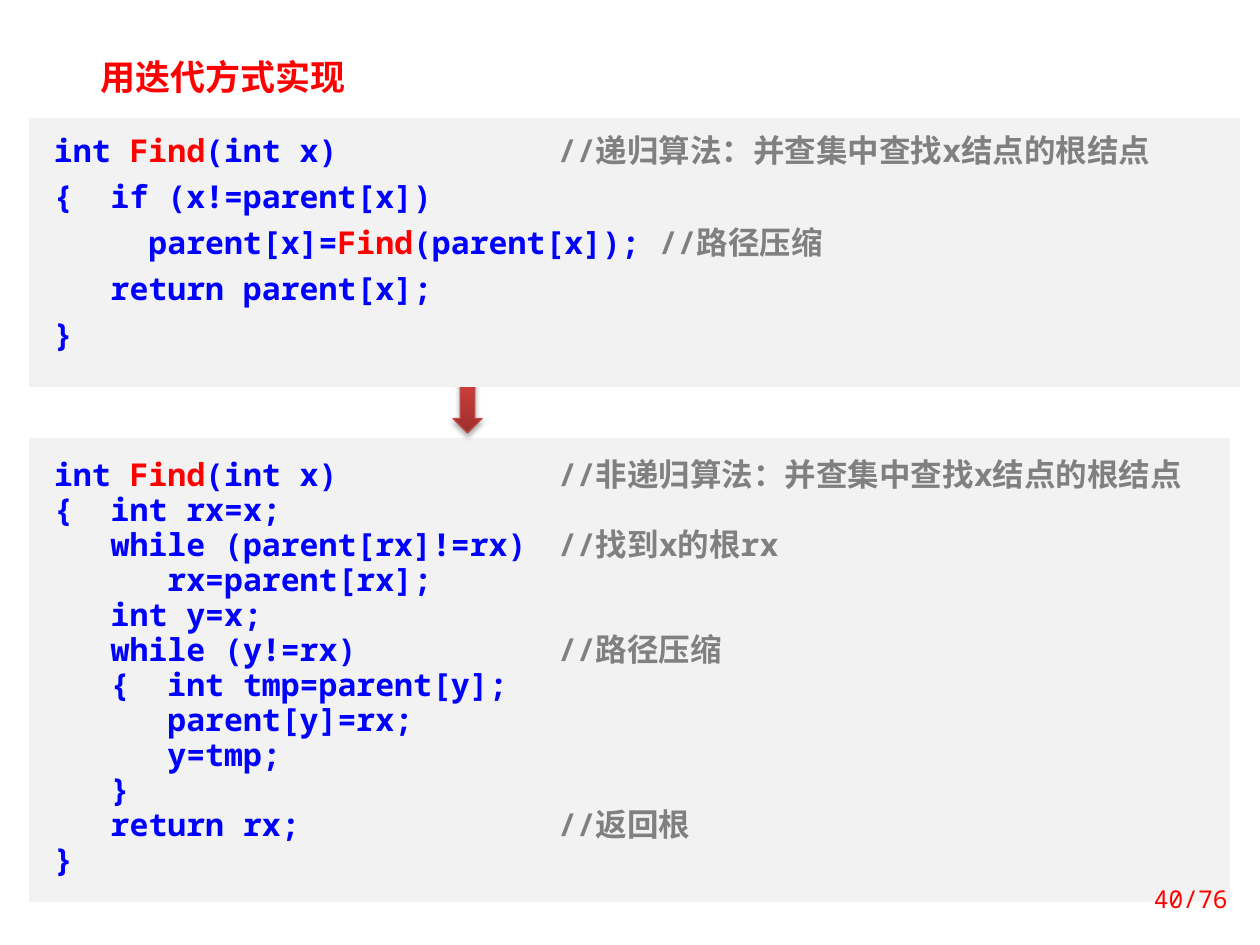
from dataclasses import dataclass

from pptx import Presentation
from pptx.dml.color import RGBColor
from pptx.enum.lang import MSO_LANGUAGE_ID
from pptx.enum.shapes import MSO_SHAPE
from pptx.enum.text import MSO_ANCHOR, PP_ALIGN
from pptx.oxml import parse_xml
from pptx.oxml.ns import nsdecls
from pptx.util import Inches, Pt

RECT, DOWN_ARROW = MSO_SHAPE.RECTANGLE, MSO_SHAPE.DOWN_ARROW
TOP, MIDDLE = MSO_ANCHOR.TOP, MSO_ANCHOR.MIDDLE
LEFT, RIGHT = PP_ALIGN.LEFT, PP_ALIGN.RIGHT
CHINESE = MSO_LANGUAGE_ID.SIMPLIFIED_CHINESE
PX = Inches(1) / 126
COMMENT_TAB = 504


@dataclass(frozen=True)
class Theme:
    font: str = "Noto Sans Mono"
    accent: str = "FF0000"
    code: str = "0000FF"
    comment: str = "808080"
    panel: str = "F2F2F2"
    arrow_line: str = "BF4C48"
    arrow_stops: tuple = ((0, "9C2F2D"), (80, "CB3E3A"), (100, "CE3B37"))
    title_size: int = 20
    code_size: int = 18
    page_size: int = 14


def emu(*lengths):
    return [round(n * PX) for n in lengths]


class Builder:
    def __init__(self, slide, theme):
        self.s, self.theme = slide, theme

    def style_run(self, r, size, color, bold):
        r.font.size, r.font.bold = Pt(size), bold
        r.font.name = self.theme.font
        r.font.language_id = CHINESE
        r.font.color.rgb = RGBColor.from_string(color)
        r.font._element.append(parse_xml(
            f'<a:ea {nsdecls("a")} typeface="{self.theme.font}"/>'))

    def label(self, box, text, size, bold=False, align=LEFT, anchor=TOP):
        tf = self.s.shapes.add_textbox(*emu(*box)).text_frame
        tf.word_wrap, tf.vertical_anchor = True, anchor
        tf.text = text
        p = tf.paragraphs[0]
        p.alignment = align
        self.style_run(p.runs[0], size, self.theme.accent, bold)

    def code_panel(self, box, lines, line_spacing, space_before=0):
        """Each line is a pair of code and comment."""
        sp = self.s.shapes.add_shape(RECT, *emu(*box))
        sp.shadow.inherit = False
        sp.fill.solid()
        sp.fill.fore_color.rgb = RGBColor.from_string(self.theme.panel)
        sp.line.fill.background()
        tf = sp.text_frame
        tf.word_wrap, tf.vertical_anchor = True, TOP
        (tf.margin_left, tf.margin_top,
         tf.margin_right, tf.margin_bottom) = emu(25, 20, 13, 20)
        for i, (code, comment) in enumerate(lines):
            p = tf.add_paragraph() if i else tf.paragraphs[0]
            p.alignment, p.line_spacing = LEFT, line_spacing
            p.space_before = Pt(space_before if i else 0)
            p._p.get_or_add_pPr().append(parse_xml(
                f'<a:tabLst {nsdecls("a")}>'
                f'<a:tab pos="{emu(COMMENT_TAB)[0]}" algn="l"/></a:tabLst>'))
            before, name, after = code.partition("Find")
            for text, color in ((before, self.theme.code),
                                (name, self.theme.accent),
                                (after, self.theme.code),
                                (comment, self.theme.comment)):
                if text:
                    r = p.add_run()
                    r.text = text
                    self.style_run(r, self.theme.code_size, color, True)

    def down_arrow(self, box):
        sp = self.s.shapes.add_shape(DOWN_ARROW, *emu(*box))
        sp.line.color.rgb = RGBColor.from_string(self.theme.arrow_line)
        sp.line.width = Pt(0.75)
        sp.shadow.inherit = False
        stops = "".join(
            f'<a:gs pos="{pos * 1000}"><a:srgbClr val="{color}"/></a:gs>'
            for pos, color in self.theme.arrow_stops)
        spPr = sp._element.spPr
        spPr.prstGeom.addnext(parse_xml(
            f'<a:gradFill {nsdecls("a")} rotWithShape="1">'
            f'<a:gsLst>{stops}</a:gsLst>'
            '<a:lin ang="16200000" scaled="0"/></a:gradFill>'))
        spPr[-1].append(parse_xml(
            f'<a:outerShdw {nsdecls("a")} blurRad="40000" dist="23000" '
            'dir="5400000" rotWithShape="0"><a:srgbClr val="000000">'
            '<a:alpha val="35000"/></a:srgbClr></a:outerShdw>'))


RECURSIVE = [
    ("int Find(int x)\t", "//递归算法：并查集中查找x结点的根结点"),
    ("{  if (x!=parent[x])", ""),
    ("     parent[x]=Find(parent[x]); ", "//路径压缩"),
    ("   return parent[x];", ""),
    ("}", ""),
]
ITERATIVE = [
    ("int Find(int x)\t", "//非递归算法：并查集中查找x结点的根结点"),
    ("{  int rx=x;", ""),
    ("   while (parent[rx]!=rx)\t", "//找到x的根rx"),
    ("      rx=parent[rx];", ""),
    ("   int y=x;", ""),
    ("   while (y!=rx)\t", "//路径压缩"),
    ("   {  int tmp=parent[y];", ""),
    ("      parent[y]=rx;", ""),
    ("      y=tmp;", ""),
    ("   }", ""),
    ("   return rx;\t", "//返回根"),
    ("}", ""),
]


def main():
    prs = Presentation()
    prs.slide_width, prs.slide_height = Inches(10), Inches(7.5)
    theme = Theme()
    b = Builder(prs.slides.add_slide(prs.slide_layouts[6]), theme)
    b.label((88, 49, 335, 55), "用迭代方式实现", theme.title_size, bold=True)
    b.code_panel((29, 438, 1201, 464), ITERATIVE, Pt(20))
    b.down_arrow((453, 374, 29, 59))
    b.code_panel((29, 118, 1211, 269), RECURSIVE, 0.8, space_before=9)
    b.label((1106, 874, 134, 50), "40/76", theme.page_size,
            align=RIGHT, anchor=MIDDLE)
    prs.save("out.pptx")


if __name__ == "__main__":
    main()
